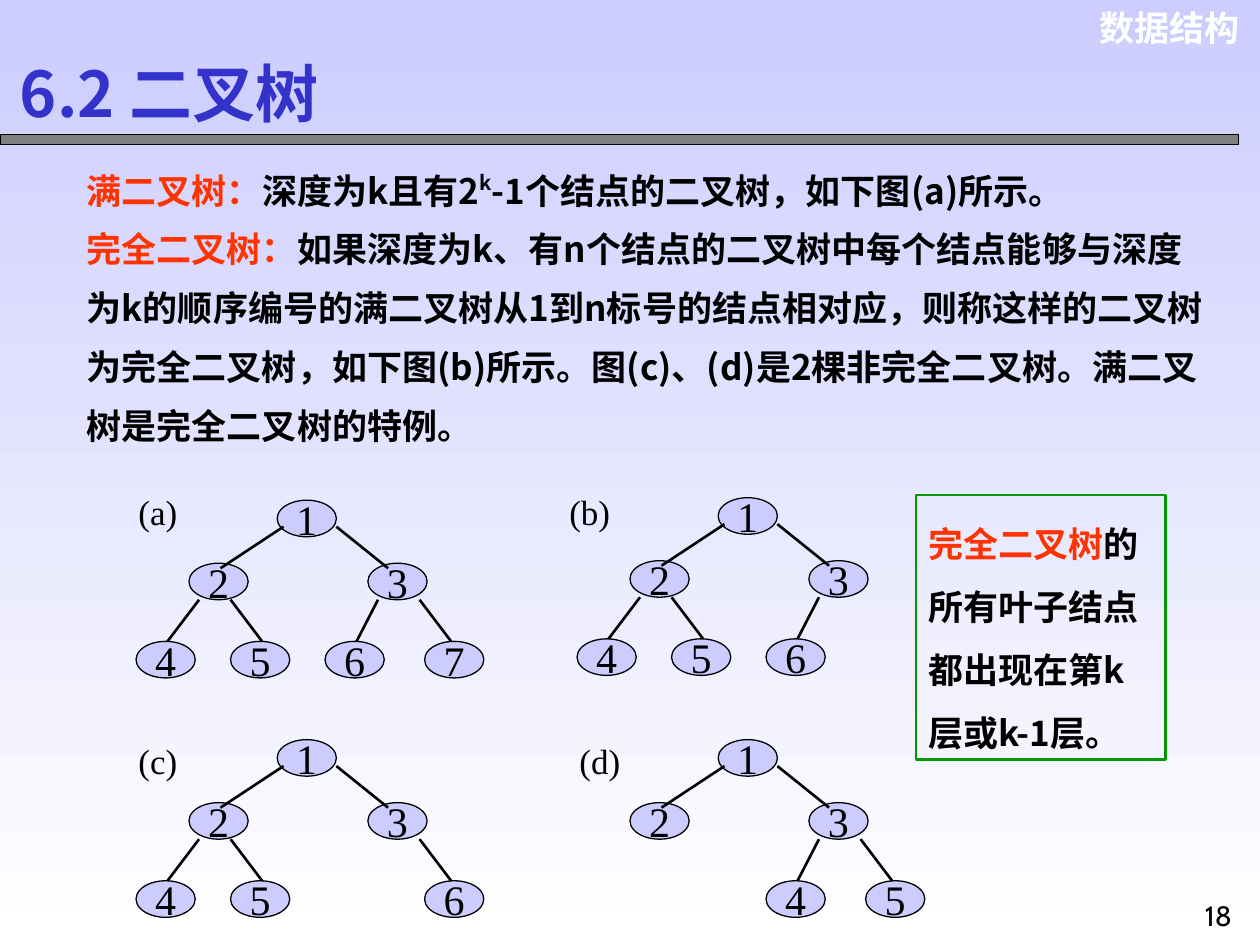
from lxml.etree import SubElement
from pptx import Presentation
from pptx.dml.color import RGBColor
from pptx.enum.shapes import MSO_CONNECTOR, MSO_SHAPE
from pptx.enum.text import MSO_ANCHOR as Anchor, MSO_AUTO_SIZE as AutoSize, PP_ALIGN as Align
from pptx.oxml.ns import qn
from pptx.util import Inches, Pt

COLORS = {
    "node": "CCCCFF", "white": "FFFFFF", "black": "000000", "rule": "808080",
    "term": "FF3300", "title": "3333CC", "frame": "009900",
}
SANS, SERIF = "Noto Sans CJK SC", "Times New Roman"

NODE_W, NODE_H = 0.47, 0.29
LEVEL_Y = [0, 0.5, 1.12]
# Slots are numbered as in a full tree: the children of i are 2i and 2i + 1.
SLOT_X = {1: 1.12, 2: 0.42, 3: 1.84, 4: 0, 5: 0.75, 6: 1.5, 7: 2.29}
# Horizontal start and end of the edge that leads down to each slot
EDGE_X = {2: (1.17, 0.67), 3: (1.59, 2), 4: (0.5, 0.25),
          5: (0.75, 1), 6: (1.92, 1.75), 7: (2.25, 2.5)}
EDGE_Y = {1: (0.21, 0.54), 2: (0.79, 1.12)}

# Caption, caption position, tree origin, occupied slots
TREES = [
    ("(a)", (1, 3.84), (1.08, 3.97), [1, 2, 3, 4, 5, 6, 7]),
    ("(b)", (4.42, 3.84), (4.58, 3.95), [1, 2, 3, 4, 5, 6]),
    ("(c)", (1, 5.82), (1.08, 5.87), [1, 2, 3, 4, 5, 7]),
    ("(d)", (4.5, 5.82), (4.58, 5.87), [1, 2, 3, 6, 7]),
]

DEFINITIONS = [
    [("满二叉树：", "term"), ("深度为k且有2", "black"), ("k", "black", 40),
     ("-1个结点的二叉树，如下图(a)所示。", "black")],
    [("完全二叉树：", "term"),
     ("如果深度为k、有n个结点的二叉树中每个结点能够与深度为k的顺序编号的满二叉树"
      "从1到n标号的结点相对应，则称这样的二叉树为完全二叉树，如下图(b)所示。"
      "图(c)、(d)是2棵非完全二叉树。满二叉树是完全二叉树的特例。", "black")],
]
LEAF_NOTE = [[("完全二叉树", "term"),
              ("的所有叶子结点都出现在第k层或k-1层。", "black")]]


def rgb(name):
    return RGBColor.from_string(COLORS[name])


def write(sp, paragraphs, size, font=SANS, bold=False, align=Align.LEFT,
          spacing=None, anchor=Anchor.TOP, wrap=True, grow=False):
    """Fill a shape with paragraphs of (text, colour[, superscript %]) runs."""
    tf = sp.text_frame
    tf.word_wrap = wrap
    tf.vertical_anchor = anchor
    if grow:
        tf.auto_size = AutoSize.SHAPE_TO_FIT_TEXT
    for i, runs in enumerate(paragraphs):
        p = tf.add_paragraph() if i else tf.paragraphs[0]
        p.alignment = align
        if spacing:
            p.line_spacing = spacing
        p.font.size, p.font.bold, p.font.name = Pt(size), bold, font
        for props in p._p.iter(qn("a:defRPr")):
            SubElement(props, qn("a:ea"), typeface=font)
        for text, color, *raised in runs:
            r = p.add_run()
            r.text = text
            r.font.color.rgb = rgb(color)
            if raised:
                r._r.get_or_add_rPr().set("baseline", str(raised[0] * 1000))


def add_text(slide, box, paragraphs, size, **style):
    sp = slide.shapes.add_textbox(*map(Inches, box))
    write(sp, paragraphs, size, **style)


def add_box(slide, kind, box, fill, line, weight):
    sp = slide.shapes.add_shape(kind, *map(Inches, box))
    sp.shadow.inherit = False
    if fill:
        sp.fill.solid()
        sp.fill.fore_color.rgb = rgb(fill)
    else:
        sp.fill.background()
    sp.line.color.rgb = rgb(line)
    sp.line.width = Pt(weight)
    return sp


def add_edge(slide, start, end):
    edge = slide.shapes.add_connector(MSO_CONNECTOR.STRAIGHT, *map(Inches, start + end))
    edge.line.color.rgb = rgb("black")
    edge.line.width = Pt(1.5)
    SubElement(edge._element.spPr, qn("a:effectLst"))


def add_tree(slide, caption, caption_at, origin, slots):
    x, y = origin
    for number, slot in enumerate(slots, 1):
        level = slot.bit_length() - 1
        box = (x + SLOT_X[slot], y + LEVEL_Y[level], NODE_W, NODE_H)
        node = add_box(slide, MSO_SHAPE.OVAL, box, "node", "black", 0.75)
        write(node, [[(str(number), "black")]], 24, font=SERIF,
              align=Align.CENTER, anchor=Anchor.MIDDLE, wrap=False)
    for slot in slots[1:]:
        (x1, x2), (y1, y2) = EDGE_X[slot], EDGE_Y[slot.bit_length() - 1]
        add_edge(slide, (x + x1, y + y1), (x + x2, y + y2))
    add_text(slide, (*caption_at, 0.67, 0.35), [[(caption, "black")]], 20,
             font=SERIF, wrap=False)


def set_background(slide):
    fill = slide.background.fill
    fill.gradient()
    fill.gradient_angle = 270
    for stop, color in zip(fill.gradient_stops, ("node", "white")):
        stop.color.rgb = rgb(color)


def main():
    prs = Presentation()
    prs.slide_width, prs.slide_height = Inches(10), Inches(7.5)
    slide = prs.slides.add_slide(prs.slide_layouts[6])
    set_background(slide)

    add_text(slide, (8.57, 0, 1.37, 0.44), [[("数据结构", "white")]], 20,
             font="Arial", bold=True, align=Align.RIGHT, grow=True)
    add_box(slide, MSO_SHAPE.RECTANGLE, (0, 1.07, 9.83, 0.08), "rule", "black", 0.75)
    add_text(slide, (0.06, 0.45, 3.2, 0.57), [[("6.2 二叉树", "title")]], 36,
             bold=True, anchor=Anchor.MIDDLE)
    add_text(slide, (0.59, 1.16, 9.14, 2.44), DEFINITIONS, 20,
             bold=True, spacing=1.4, grow=True)

    for tree in TREES:
        add_tree(slide, *tree)

    note = add_box(slide, MSO_SHAPE.RECTANGLE, (7.27, 3.93, 1.98, 2.1), None, "frame", 1.5)
    write(note, LEAF_NOTE, 20, bold=True, spacing=1.5, grow=True)
    add_text(slide, (9.42, 7.08, 0.5, 0.42), [[("18", "black")]], 16,
             font="Cabin", align=Align.CENTER, grow=True)
    prs.save("out.pptx")


if __name__ == "__main__":
    main()
